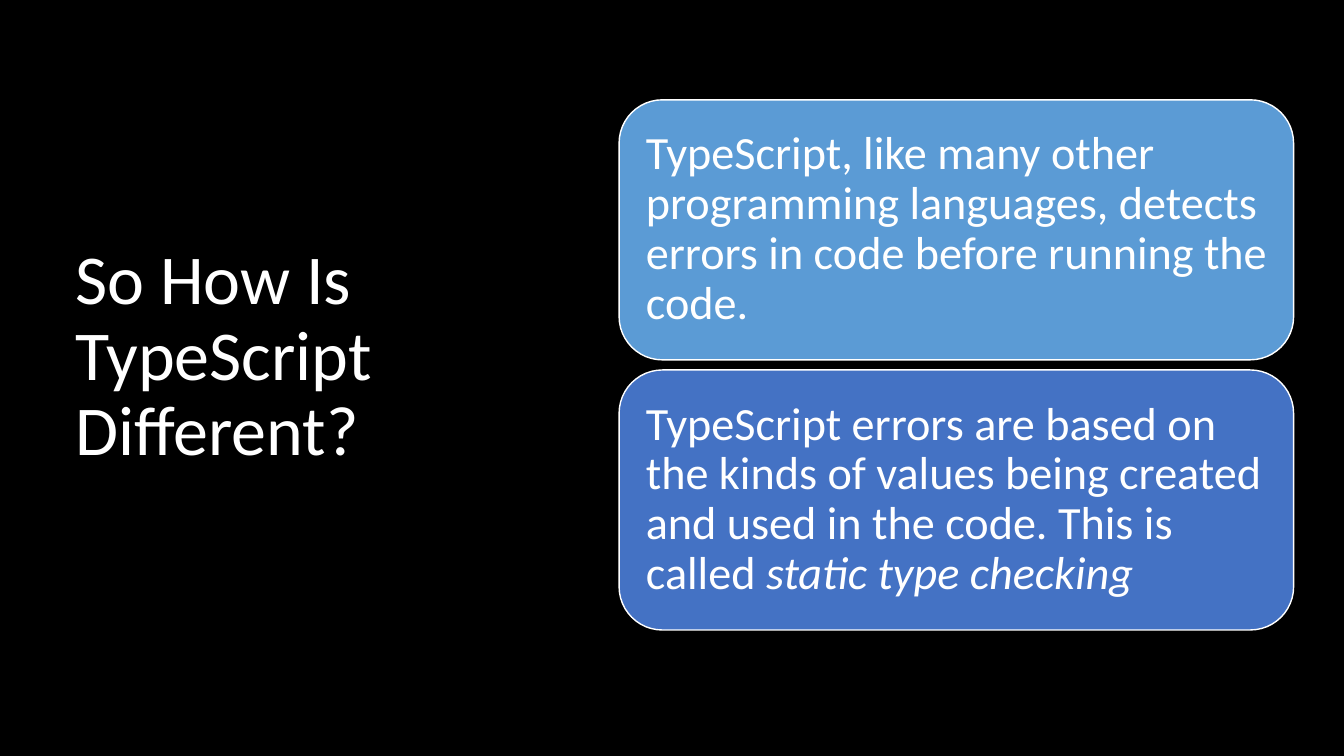
"""Build the slide that asks how TypeScript differs from other languages."""
from pptx import Presentation
from pptx.dml.color import RGBColor
from pptx.enum.shapes import MSO_SHAPE as Shape
from pptx.enum.text import MSO_ANCHOR as Anchor, PP_ALIGN as Align
from pptx.util import Inches, Pt

BLACK = RGBColor(0x00, 0x00, 0x00)
WHITE = RGBColor(0xFF, 0xFF, 0xFF)
SKY = RGBColor(0x5B, 0x9B, 0xD5)
BLUE = RGBColor(0x44, 0x72, 0xC4)

CARD_LEFT, CARD_TOP = 6.14, 0.99
CARD_WIDTH, CARD_HEIGHT, CARD_GAP = 6.69, 2.58, 0.1

QUESTION = [("So How Is TypeScript Different?", False)]
ANSWERS = [
    (SKY, [("TypeScript, like many other programming languages, detects "
            "errors in code before running the code.", False)]),
    (BLUE, [("TypeScript errors are based on the kinds of values being "
             "created and used in the code. This is called ", False),
            ("static type checking", True)]),
]


def write(frame, pieces, size, margins):
    frame.word_wrap = True
    frame.vertical_anchor = Anchor.MIDDLE
    for side, margin in margins.items():
        setattr(frame, f"margin_{side}", Inches(margin))
    paragraph = frame.paragraphs[0]
    paragraph.alignment = Align.LEFT
    paragraph.line_spacing = 0.9
    for words, italic in pieces:
        run = paragraph.add_run()
        run.text = words
        run.font.color.rgb = WHITE
        look = {"name": "Calibri", "size": Pt(size), "italic": italic}
        for key, value in look.items():
            setattr(run.font, key, value)


deck = Presentation()
deck.slide_width, deck.slide_height = Inches(13.33), Inches(7.5)
slide = deck.slides.add_slide(deck.slide_layouts[6])
slide.background.fill.solid()
slide.background.fill.fore_color.rgb = BLACK

question = slide.shapes.add_textbox(
    Inches(0.65), Inches(1.32), Inches(4.24), Inches(4.45))
write(question.text_frame, QUESTION, 50,
      {"left": 0.1, "right": 0.1, "top": 0.05, "bottom": 0.05})

for row, (color, answer) in enumerate(ANSWERS):
    card = slide.shapes.add_shape(
        Shape.ROUNDED_RECTANGLE, Inches(CARD_LEFT),
        Inches(CARD_TOP + row * (CARD_HEIGHT + CARD_GAP)),
        Inches(CARD_WIDTH), Inches(CARD_HEIGHT))
    card.shadow.inherit = False
    card.fill.solid()
    card.fill.fore_color.rgb = color
    card.line.color.rgb = WHITE
    card.line.width = Pt(1)
    write(card.text_frame, answer, 33,
          {"left": 0.14, "right": 0.12, "top": 0.14, "bottom": 0.14})

deck.save("out.pptx")
